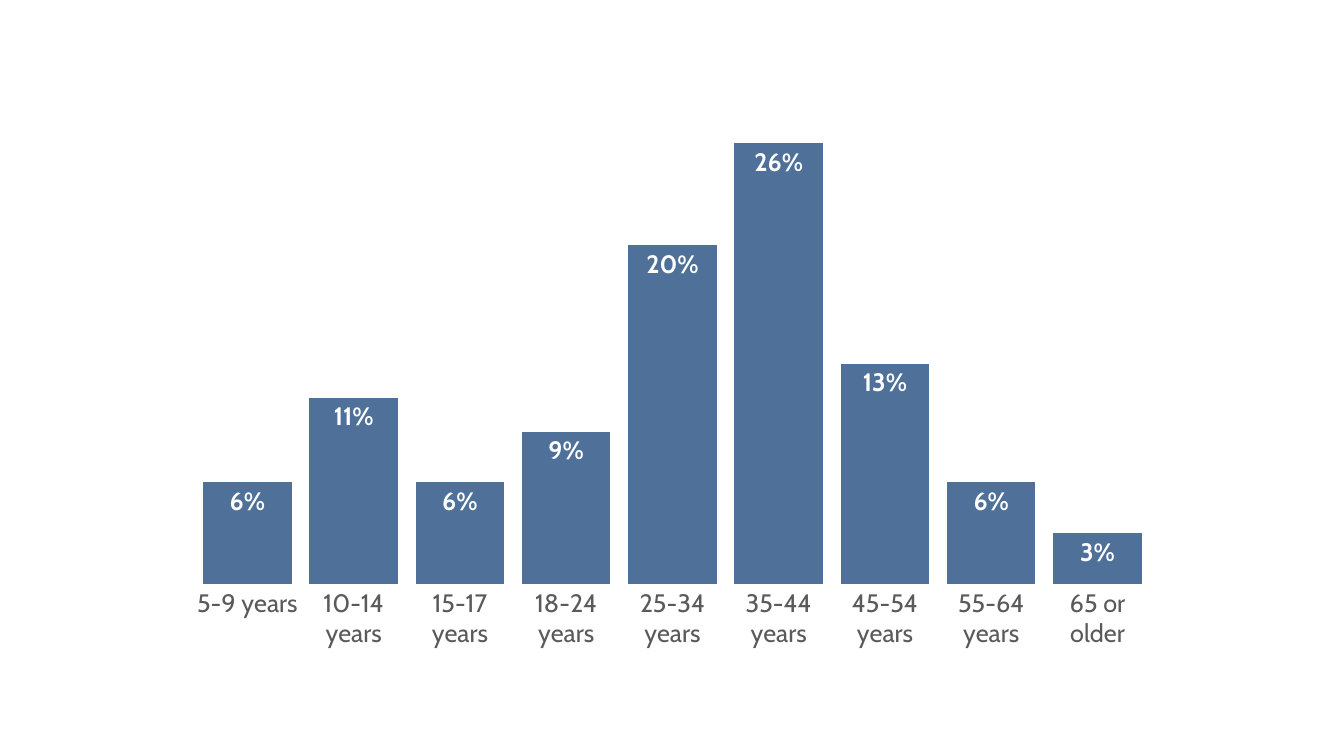
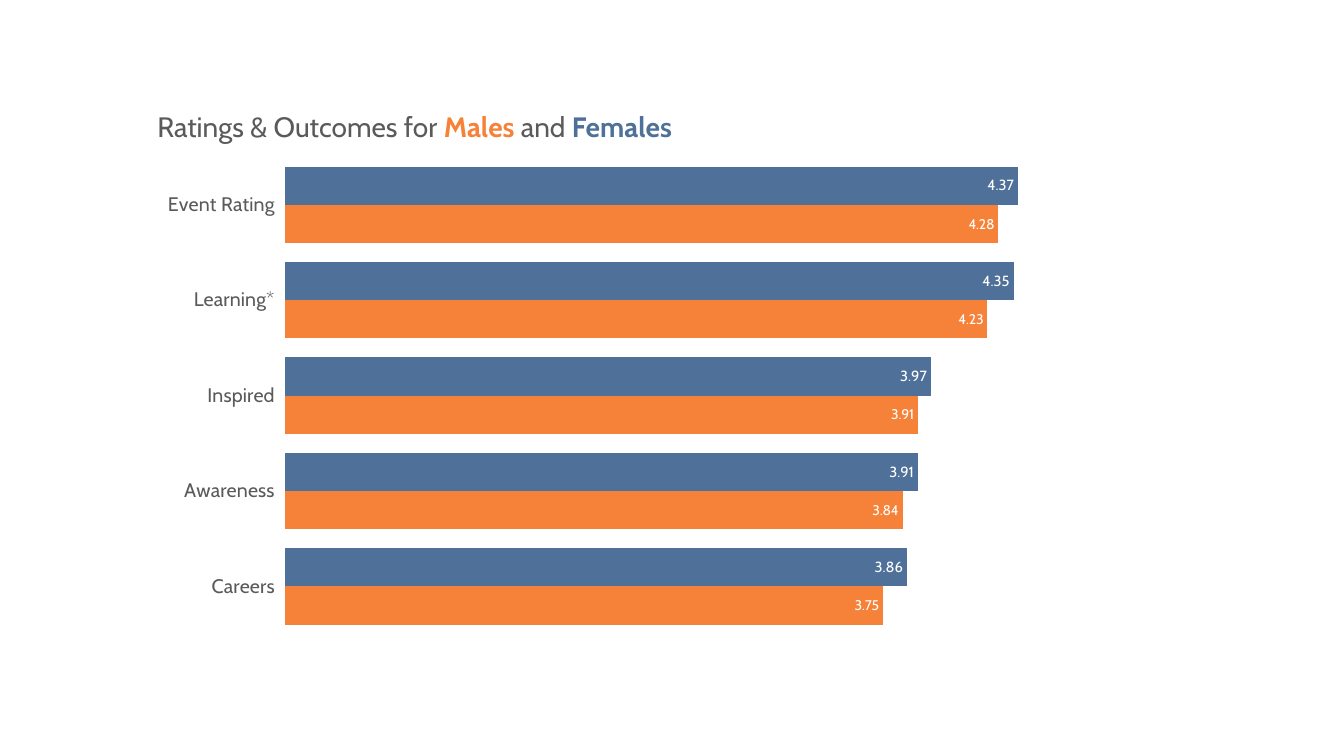
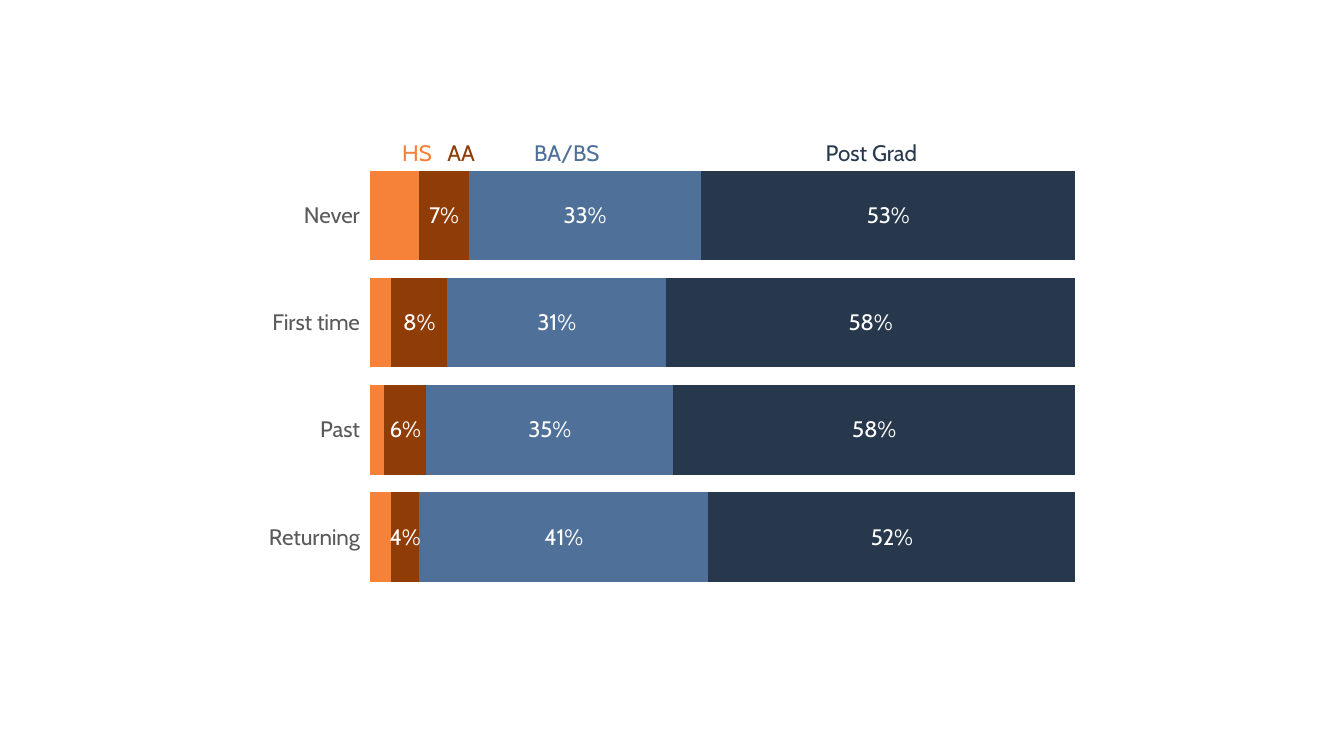
import pptx
import pptx.chart.data
import pptx.dml.color
import pptx.enum.chart
import pptx.enum.text
import pptx.oxml
import pptx.oxml.ns
import pptx.util

Inches = pptx.util.Inches
Kind = pptx.enum.chart.XL_CHART_TYPE
Place = pptx.enum.chart.XL_LABEL_POSITION
Tick = pptx.enum.chart.XL_TICK_MARK


class Theme:
    font = "Cabin"
    white = "FFFFFF"
    gray = "5A5A5A"
    blue = "4F7199"
    orange = "F58238"
    brown = "8F3C07"
    navy = "28384C"
    head = 20
    large = 18
    mid = 16
    axis = 14
    note = 10.5
    small = 10


def style(font, size, color, bold=False):
    font.name = Theme.font
    font.size = pptx.util.Pt(size)
    font.bold = bold
    font.color.rgb = pptx.dml.color.RGBColor.from_string(color)


def write(shape, parts, size, box, tabs=()):
    shape.left, shape.top, shape.width, shape.height = map(Inches, box)
    frame = shape.text_frame
    frame.word_wrap = True
    frame.auto_size = pptx.enum.text.MSO_AUTO_SIZE.NONE
    frame.vertical_anchor = pptx.enum.text.MSO_ANCHOR.MIDDLE
    para = frame.paragraphs[0]
    para.alignment = pptx.enum.text.PP_ALIGN.LEFT
    if tabs:
        stops = pptx.oxml.parse_xml("<a:tabLst %s/>" % pptx.oxml.ns.nsdecls("a"))
        for stop in tabs:
            tab = stops.makeelement(pptx.oxml.ns.qn("a:tab"), {"pos": str(Inches(stop)), "algn": "l"})
            stops.append(tab)
        para._p.get_or_add_pPr().append(stops)
    for text, color, bold in parts:
        run = para.add_run()
        run.text = text
        style(run.font, size, color, bold)


deck = pptx.Presentation()
deck.slide_width = Inches(13.33)
deck.slide_height = Inches(7.5)
titled, blank = deck.slide_layouts[5], deck.slide_layouts[6]

charts = [
    dict(
        layout=blank, kind=Kind.COLUMN_CLUSTERED, box=(1.73, 0.63, 9.88, 5.93),
        cats=["5-9 years", "10-14 years", "15-17 years", "18-24 years", "25-34 years",
              "35-44 years", "45-54 years", "55-64 years", "65 or older"],
        rows=[([0.06, 0.11, 0.06, 0.09, 0.2, 0.26, 0.13, 0.06, 0.03], Theme.blue, Theme.large)],
        size=Theme.large, bold=True, form="0%", gap=20, lap=0, place=Place.INSIDE_END,
        low=None, high=None, step=0.1, flip=False, tick=Tick.NONE,
    ),
    dict(
        layout=titled, kind=Kind.BAR_CLUSTERED, box=(1.46, 1.46, 10.2, 4.93),
        cats=["Event Rating", "Learning*", "Inspired", "Awareness", "Careers"],
        rows=[([4.37, 4.35, 3.97, 3.91, 3.86], Theme.blue, Theme.note),
              ([4.28, 4.23, 3.91, 3.84, 3.75], Theme.orange, Theme.small)],
        size=Theme.axis, bold=False, form="General", gap=50, lap=0, place=Place.INSIDE_END,
        low=1, high=5, step=1, flip=True, tick=Tick.OUTSIDE,
    ),
    dict(
        layout=blank, kind=Kind.BAR_STACKED, box=(2.5, 1.52, 8.33, 4.43),
        cats=["Never", "First time", "Past", "Returning"],
        rows=[([0.07, 0.03, 0.02, 0.03], Theme.orange, None),
              ([0.07, 0.08, 0.06, 0.04], Theme.brown, Theme.mid),
              ([0.33, 0.31, 0.35, 0.41], Theme.blue, Theme.mid),
              ([0.53, 0.58, 0.58, 0.52], Theme.navy, Theme.mid)],
        size=Theme.mid, bold=False, form="0%", gap=20, lap=100, place=Place.CENTER,
        low=None, high=1, step=0.2, flip=True, tick=Tick.OUTSIDE,
    ),
]

for item in charts:
    slide = deck.slides.add_slide(item["layout"])
    data = pptx.chart.data.CategoryChartData(number_format=item["form"])
    data.categories = item["cats"]
    for count, (vals, color, size) in enumerate(item["rows"], 1):
        data.add_series(f"Series {count}", vals)
    chart = slide.shapes.add_chart(item["kind"], *map(Inches, item["box"]), data).chart
    chart.has_legend = False
    chart.has_title = False
    style(chart.font, Theme.small, Theme.gray)

    cat = chart.category_axis
    cat.has_major_gridlines = False
    cat.major_tick_mark = item["tick"]
    cat.minor_tick_mark = Tick.NONE
    cat.reverse_order = item["flip"]
    cat.format.line.fill.background()
    style(cat.tick_labels.font, item["size"], Theme.gray)

    axis = chart.value_axis
    axis.has_major_gridlines = False
    axis.visible = False
    axis.minimum_scale = item["low"]
    axis.maximum_scale = item["high"]
    axis.major_unit = item["step"]

    plot = chart.plots[0]
    plot.vary_by_categories = False
    plot.gap_width = item["gap"]
    plot.overlap = item["lap"]
    for line, (vals, color, size) in zip(plot.series, item["rows"]):
        line.format.fill.solid()
        line.format.fill.fore_color.rgb = pptx.dml.color.RGBColor.from_string(color)
        line.invert_if_negative = False
        if size:
            labels = line.data_labels
            labels.show_value = True
            labels.position = item["place"]
            labels.number_format = item["form"]
            labels.number_format_is_linked = False
            style(labels.font, size, Theme.white, item["bold"])

ages, rates, grads = deck.slides
write(
    rates.shapes.title,
    [("Ratings & Outcomes for ", Theme.gray, False), ("Males ", Theme.orange, True),
     ("and ", Theme.gray, False), ("Females", Theme.blue, True)],
    size=Theme.head, box=(1.46, 1.03, 5.47, 0.44),
)
write(
    grads.shapes.add_textbox(0, 0, 0, 0),
    [("HS\t", Theme.orange, False), ("AA\t", Theme.brown, False),
     ("BA/BS\t", Theme.blue, False), ("Post Grad", Theme.navy, False)],
    size=Theme.mid, box=(3.89, 1.33, 6.77, 0.37), tabs=(0.45, 1.31, 4.2),
)

deck.save("out.pptx")
